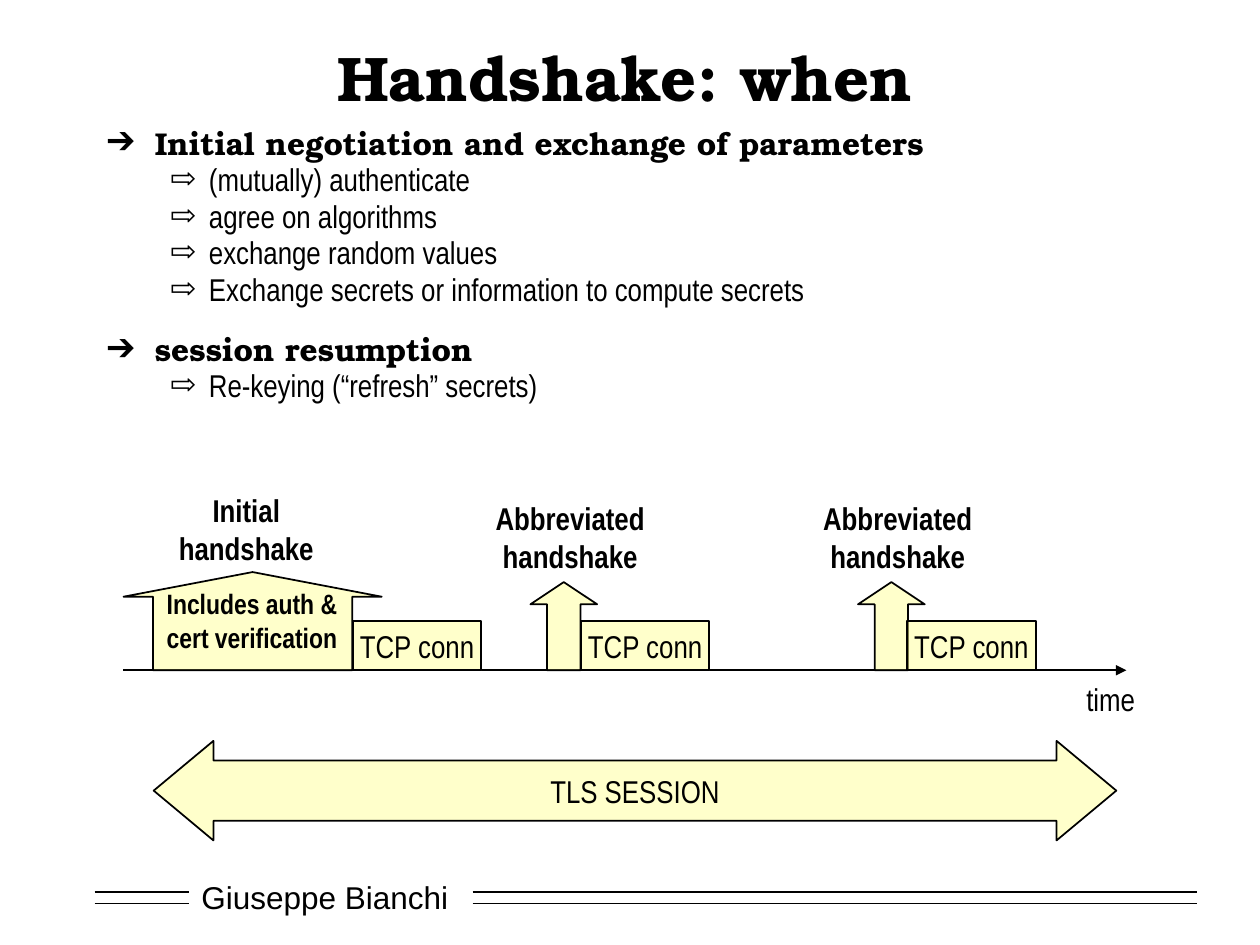
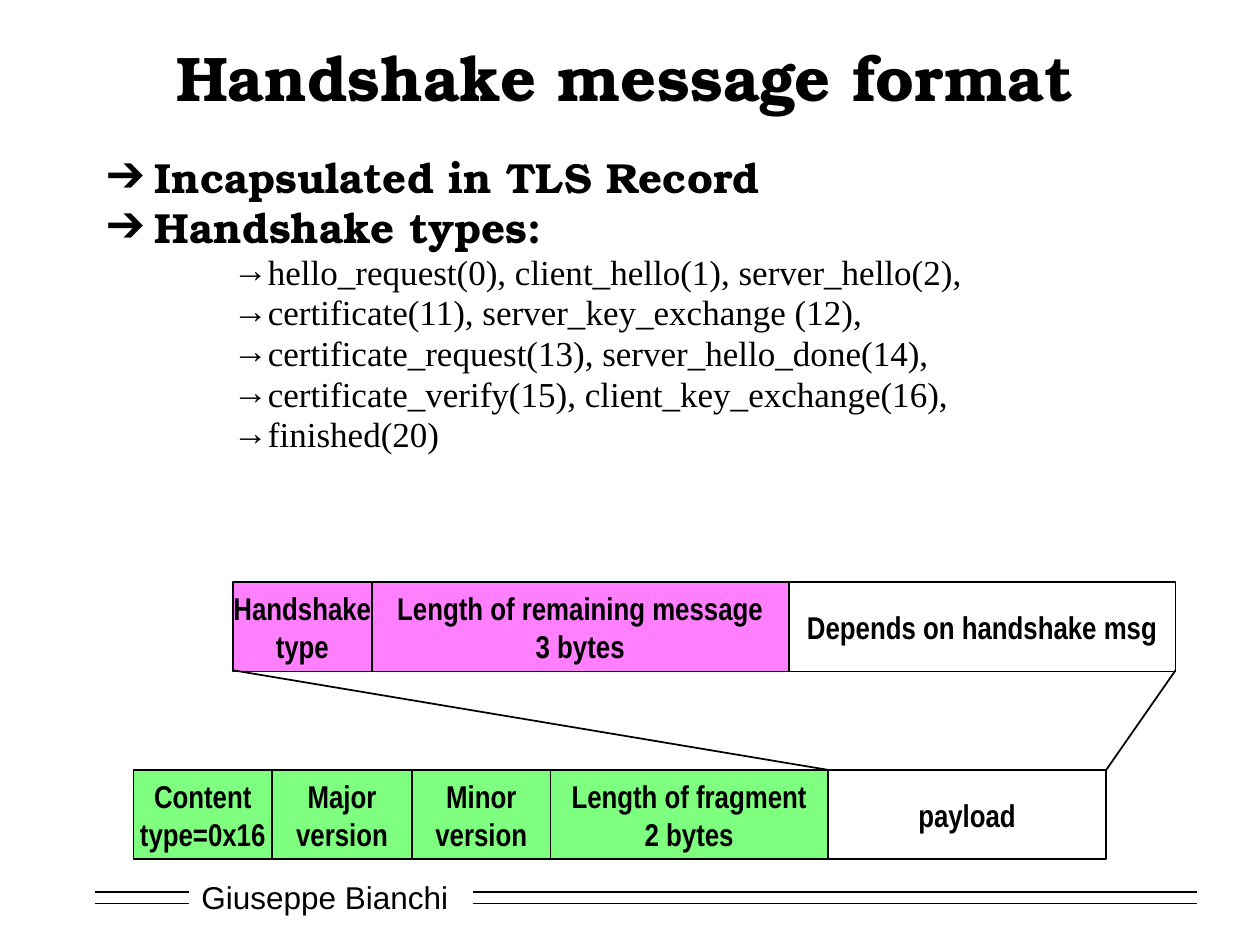
import pptx
import pptx.util
import pptx.dml.color
import pptx.enum.shapes
import pptx.enum.text
import pptx.oxml.ns
import lxml.etree

PX = 9144  # EMU per px, 100 px to the inch
BLACK, WHITE, YELLOW, GREEN, MAGENTA = "000000", "FFFFFF", "FFFF99", "00FF00", "FF00FF"
color = pptx.dml.color.RGBColor.from_string
qn = pptx.oxml.ns.qn
Pt = pptx.util.Pt
SHAPE = pptx.enum.shapes.MSO_SHAPE
TOP = pptx.enum.text.MSO_ANCHOR.TOP
MIDDLE = pptx.enum.text.MSO_ANCHOR.MIDDLE
CENTER = {"alignment": pptx.enum.text.PP_ALIGN.CENTER}
SERIF, NARROW, ROMAN = "TeX Gyre Bonum", "Arial Narrow", "Times New Roman"

# Text styles: font values, paragraph values, bullet (character, margin, indent)
TITLE = {"font": {"name": SERIF, "size": Pt(36), "bold": True}, "paragraph": CENTER}
FOOTER = {"font": {"name": "Arial", "size": Pt(18)}, "paragraph": {}}
PLAIN = {"font": {"name": NARROW, "size": Pt(18)}, "paragraph": CENTER}
LABEL = {"font": {"name": NARROW, "size": Pt(18), "bold": True}, "paragraph": CENTER}
NOTE = {"font": {"name": NARROW, "size": Pt(16), "bold": True}, "paragraph": CENTER}
TOPIC = {"font": {"name": SERIF, "size": Pt(18), "bold": True},
         "paragraph": {"line_spacing": 0.8, "space_before": Pt(3.6)}, "bullet": ("➔", 38, -38)}
NEXT_TOPIC = {**TOPIC, "paragraph": {"line_spacing": 0.8, "space_before": Pt(17)}}
POINT = {**TOPIC, "font": {"name": NARROW, "size": Pt(18)}, "bullet": ("⇨", 81, -31)}
BIG_TOPIC = {**TOPIC, "font": {"name": SERIF, "size": Pt(24), "bold": True},
             "paragraph": {"line_spacing": 0.8, "space_before": Pt(5.4)}}
TYPE = {"font": {"name": ROMAN, "size": Pt(20)},
        "paragraph": {"line_spacing": 0.8, "space_before": Pt(4)}, "bullet": ("→", 125, -25)}


def add_box(slide, box, entries=(), kind=None, fill=None, anchor=MIDDLE, wrap=False, adjustments=()):
    """Add a text box, or a half-transparent outlined shape, with (text, style) paragraphs."""
    place = [value * PX for value in box]
    if kind is None:
        shape = slide.shapes.add_textbox(*place)
    else:
        shape = slide.shapes.add_shape(kind, *place)
        shape.shadow.inherit = False
        shape.fill.solid()
        shape.fill.fore_color.rgb = color(fill)
        for fill_color in shape._element.spPr.iter(qn("a:srgbClr")):
            lxml.etree.SubElement(fill_color, qn("a:alpha"), val="50000")
        shape.line.color.rgb = color(BLACK)
        shape.line.width = Pt(1)
        for index, value in enumerate(adjustments):
            shape.adjustments[index] = value
    frame = shape.text_frame
    frame.word_wrap = wrap
    frame.vertical_anchor = anchor
    for index, (text, style) in enumerate(entries):
        paragraph = frame.add_paragraph() if index else frame.paragraphs[0]
        paragraph.text = text
        if "bullet" in style:
            character, margin, indent = style["bullet"]
            properties = paragraph._p.get_or_add_pPr()
            properties.set("marL", str(margin * PX))
            properties.set("indent", str(indent * PX))
            bullet_color = lxml.etree.SubElement(properties, qn("a:buClr"))
            lxml.etree.SubElement(bullet_color, qn("a:srgbClr"), val=BLACK)
            lxml.etree.SubElement(properties, qn("a:buFont"), typeface=ROMAN)
            lxml.etree.SubElement(properties, qn("a:buChar"), char=character)
        for name, value in style["paragraph"].items():
            if index or name != "space_before":
                setattr(paragraph, name, value)
        for run in paragraph.runs:
            run.font.color.rgb = color(BLACK)
            for name, value in style["font"].items():
                setattr(run.font, name, value)
    return shape


def add_line(slide, start, end):
    """Add a thin black straight line."""
    line = slide.shapes.add_connector(pptx.enum.shapes.MSO_CONNECTOR.STRAIGHT,
                                      *[value * PX for value in (*start, *end)])
    line.line.color.rgb = color(BLACK)
    line.line.width = Pt(1)
    lxml.etree.SubElement(line._element.spPr, qn("a:effectLst"))
    return line


presentation = pptx.Presentation()
presentation.slide_width = 1000 * PX
presentation.slide_height = 750 * PX

# Title, body and footer of each slide
pages = [
    ("Handshake: when", (75, 99, 842, 244), [
        ("Initial negotiation and exchange of parameters", TOPIC),
        ("(mutually) authenticate", POINT),
        ("agree on algorithms", POINT),
        ("exchange random values", POINT),
        ("Exchange secrets or information to compute secrets", POINT),
        ("session resumption", NEXT_TOPIC),
        ("Re-keying (“refresh” secrets)", POINT),
    ]),
    ("Handshake message format", (75, 123, 838, 264), [
        ("Incapsulated in TLS Record", BIG_TOPIC),
        ("Handshake types:", BIG_TOPIC),
        ("hello_request(0), client_hello(1), server_hello(2),", TYPE),
        ("certificate(11), server_key_exchange (12),", TYPE),
        ("certificate_request(13), server_hello_done(14),", TYPE),
        ("certificate_verify(15), client_key_exchange(16),", TYPE),
        ("finished(20)", TYPE),
    ]),
]
for title, body_box, body in pages:
    slide = presentation.slides.add_slide(presentation.slide_layouts[6])
    add_box(slide, (150, 692, 217, 40), [("Giuseppe Bianchi", FOOTER)], wrap=True)
    for y in (708, 717):
        for left, right in ((75, 150), (375, 950)):
            add_line(slide, (left, y), (right, y))
    add_box(slide, (75, 25, 842, 71), [(title, TITLE)], wrap=True)
    add_box(slide, body_box, body, anchor=TOP, wrap=True)
timeline_slide, format_slide = presentation.slides

# Time axis
axis = add_line(timeline_slide, (98, 532), (894, 532))
lxml.etree.SubElement(axis.line._get_or_add_ln(), qn("a:tailEnd"), type="triangle")
add_box(timeline_slide, (852, 535, 59, 40), [("time", PLAIN)], anchor=TOP)

# Handshakes, each followed by a connection
handshakes = [
    ((98, 454, 205, 78), (0.771, 0.251), (132, 385, 127, 70), "Initial", 280),
    ((421, 462, 53, 70), (0.5, 0.333), (383, 391, 139, 70), "Abbreviated", 461),
    ((681, 462, 53, 70), (0.5, 0.333), (643, 391, 139, 70), "Abbreviated", 720),
]
for arrow_box, adjustments, label_box, handshake, connection_left in handshakes:
    add_box(timeline_slide, arrow_box, kind=SHAPE.UP_ARROW, fill=YELLOW, adjustments=adjustments)
    add_box(timeline_slide, label_box, [(handshake, LABEL), ("handshake", LABEL)], anchor=TOP)
    add_box(timeline_slide, (connection_left, 493, 102, 39), [("TCP conn", PLAIN)],
            SHAPE.RECTANGLE, YELLOW)
add_box(timeline_slide, (110, 461, 180, 64), [("Includes auth &\vcert verification", NOTE)], anchor=TOP)

# Session span
add_box(timeline_slide, (122, 588, 764, 79), [("TLS SESSION", PLAIN)],
        SHAPE.LEFT_RIGHT_ARROW, YELLOW, adjustments=(0.607, 0.6))

# Record fields, then the handshake fields inside the payload
field_rows = [
    (106, 611, [
        ("Content\vtype=0x16", 110, GREEN),
        ("Major\vversion", 111, GREEN),
        ("Minor\vversion", 110, GREEN),
        ("Length of fragment\v2 bytes", 220, GREEN),
        ("payload", 221, WHITE),
    ]),
    (185, 462, [
        ("Handshake\vtype", 110, MAGENTA),
        ("Length of remaining message\v3 bytes", 331, MAGENTA),
        ("Depends on handshake msg", 307, WHITE),
    ]),
]
for left, top, fields in field_rows:
    for text, width, fill in fields:
        add_box(format_slide, (left, top, width, 71), [(text, LABEL)], SHAPE.RECTANGLE, fill)
        left += width

# Lines that open the payload
for payload_x, message_x in ((657, 185), (878, 933)):
    add_line(format_slide, (payload_x, 611), (message_x, 532))

presentation.save("out.pptx")
